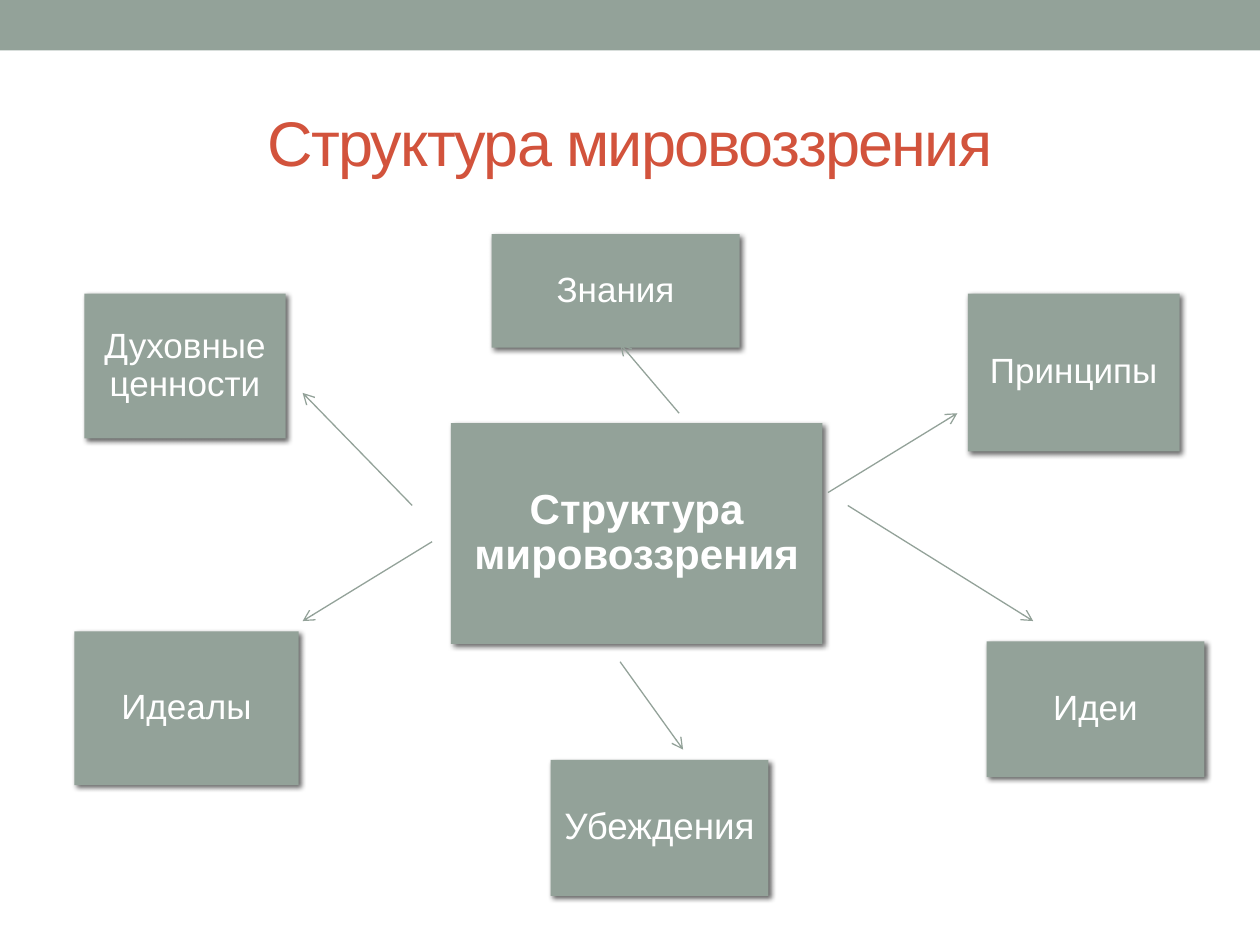
from lxml import etree
from pptx import Presentation
from pptx import util as u
from pptx.dml import color as dml
from pptx.enum import shapes, text
from pptx.oxml import ns

HUES = {"sage": "93A299", "red": "D2533C", "white": "FFFFFF", "black": "000000"}


def add_box(spot, fill=HUES["sage"]):
    box = slide.shapes.add_shape(shapes.MSO_SHAPE.RECTANGLE, *map(u.Cm, spot))
    box.shadow.inherit = False
    box.fill.solid()
    box.fill.fore_color.rgb = dml.RGBColor.from_string(fill)
    box.line.fill.background()
    return box


def write(shape, words, size, hue, pad, bold=False):
    frame = shape.text_frame
    frame.word_wrap = True
    frame.vertical_anchor = text.MSO_ANCHOR.MIDDLE
    frame.margin_left = frame.margin_right = u.Cm(pad)
    frame.margin_top = frame.margin_bottom = u.Cm(pad)
    para = frame.paragraphs[0]
    para.alignment = text.PP_ALIGN.CENTER
    run = para.add_run()
    run.text = words
    run.font.name = "Arial"
    run.font.size = u.Pt(size)
    run.font.bold = bold
    run.font.color.rgb = dml.RGBColor.from_string(HUES[hue])
    return para, run


deck = Presentation()
deck.slide_width, deck.slide_height = u.Cm(25.4), u.Cm(19.05)
slide = deck.slides.add_slide(deck.slide_layouts[6])

add_box((0, 0, 25.4, 1.02))

title = slide.shapes.add_textbox(u.Cm(1.27), u.Cm(1.47), u.Cm(22.86), u.Cm(2.74))
para, run = write(title, "Структура мировоззрения", 36, "red", 0.2)
run.font._element.set("spc", "-100")

boxes = [
    ("Духовные ценности", (1.7, 5.92, 4.06, 2.92), 20, 0.2, False),
    ("Знания", (9.91, 4.72, 5, 2.29), 20, 0.2, False),
    ("Принципы", (19.51, 5.92, 4.27, 3.18), 20, 0.2, False),
    ("Идеи", (19.89, 12.93, 4.39, 2.74), 20, 0.2, False),
    ("Структура мировоззрения", (9.09, 8.53, 7.49, 4.45), 24, 0.25, True),
    ("Идеалы", (1.5, 12.73, 4.52, 3.1), 20, 0.2, False),
    ("Убеждения", (11.1, 15.32, 4.39, 2.74), 21, 0.22, False),
]
for words, spot, size, pad, bold in boxes:
    box = add_box(spot)
    para, run = write(box, words, size, "white", pad, bold)
    para.line_spacing = 0.9
    glow = box._element.spPr.find(ns.qn("a:effectLst"))
    cast = etree.SubElement(glow, ns.qn("a:outerShdw"), blurRad=str(u.Pt(3)),
                            dist=str(u.Pt(2)), dir="2700000", rotWithShape="0")
    tint = etree.SubElement(cast, ns.qn("a:srgbClr"), val=HUES["black"])
    etree.SubElement(tint, ns.qn("a:alpha"), val="60000")

arrows = [
    (13.69, 8.33, 12.5, 6.93),
    (12.5, 13.34, 13.77, 15.11),
    (17.09, 10.19, 20.83, 12.52),
    (16.69, 9.93, 19.3, 8.33),
    (8.71, 10.92, 6.1, 12.52),
    (8.31, 10.19, 6.1, 7.92),
]
for ends in arrows:
    arrow = slide.shapes.add_connector(shapes.MSO_CONNECTOR.STRAIGHT, *map(u.Cm, ends))
    arrow.line.width = u.Pt(0.75)
    arrow.line.color.rgb = dml.RGBColor.from_string(HUES["sage"])
    etree.SubElement(arrow.line._get_or_add_ln(), ns.qn("a:tailEnd"), type="arrow")
    etree.SubElement(arrow._element.spPr, ns.qn("a:effectLst"))

deck.save("out.pptx")
